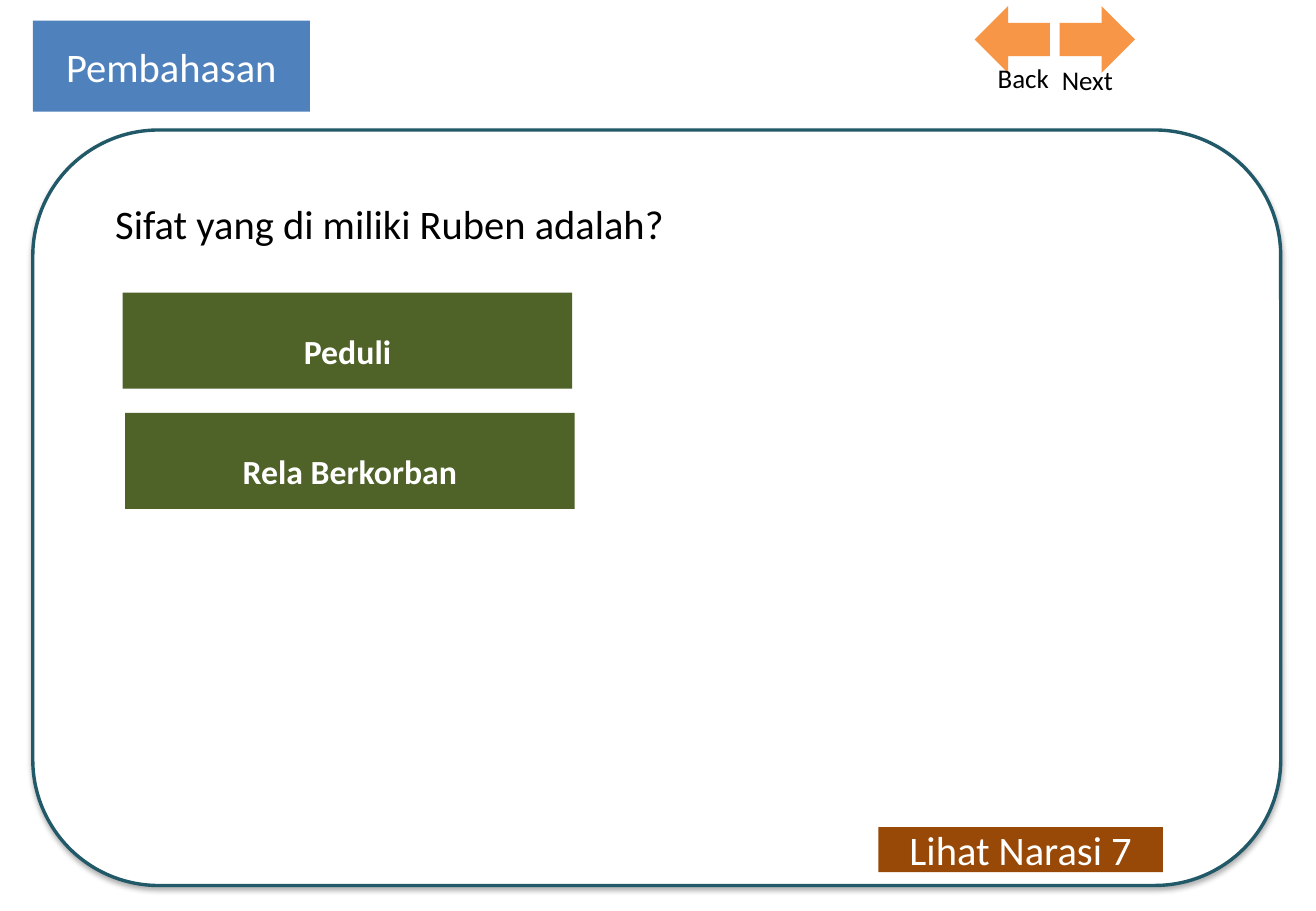
from lxml import etree
from pptx import Presentation
from pptx.dml.color import RGBColor
from pptx.enum.shapes import MSO_SHAPE as Shape
from pptx.enum.text import MSO_ANCHOR as Anchor, MSO_AUTO_SIZE as AutoSize, PP_ALIGN as Align
from pptx.oxml.ns import qn
from pptx.util import Inches, Pt

COLORS = {
    "white": "FFFFFF",
    "black": "000000",
    "teal": "215968",
    "blue": "4F81BD",
    "green": "4F6228",
    "brown": "984807",
    "orange": "F79646",
}


def color(name):
    return RGBColor.from_string(COLORS[name])


def fill_solid(shape, fill):
    shape.fill.solid()
    shape.fill.fore_color.rgb = color(fill)


def write_text(shape, text, size, text_color, align, bold=False, spacing=None):
    frame = shape.text_frame
    frame.word_wrap = True
    frame.text = text
    paragraph = frame.paragraphs[0]
    paragraph.alignment = align
    paragraph.line_spacing = spacing
    paragraph.font.name = "Calibri"
    paragraph.font.size = Pt(size)
    paragraph.font.bold = bold
    paragraph.font.color.rgb = color(text_color)


def add_block(slide, kind, left, top, width, height, fill):
    shape = slide.shapes.add_shape(
        kind, Inches(left), Inches(top), Inches(width), Inches(height))
    fill_solid(shape, fill)
    shape.line.fill.background()
    shape.shadow.inherit = False
    return shape


def add_label(slide, text, left, top, width, height, size, align, spacing=None):
    box = slide.shapes.add_textbox(
        Inches(left), Inches(top), Inches(width), Inches(height))
    write_text(box, text, size, "black", align, spacing=spacing)


def add_soft_shadow(shape):
    effects = shape._element.spPr.find(qn("a:effectLst"))
    shadow = etree.SubElement(
        effects, qn("a:outerShdw"), blurRad=str(Pt(3.5)), dist=str(Pt(2.2)),
        dir="5400000", rotWithShape="0")
    tint = etree.SubElement(shadow, qn("a:srgbClr"), val=COLORS["black"])
    etree.SubElement(tint, qn("a:alpha"), val="32000")


def set_title(slide, text):
    title = slide.shapes.title
    title.left, title.top = Inches(0.27), Inches(0.17)
    title.width, title.height = Inches(2.28), Inches(0.75)
    fill_solid(title, "blue")
    write_text(title, text, 24, "white", Align.CENTER)
    title.text_frame.auto_size = AutoSize.NONE
    title.text_frame.vertical_anchor = Anchor.MIDDLE


def add_panel(slide):
    panel = add_block(slide, Shape.ROUNDED_RECTANGLE, 0.27, 1.07, 10.27, 6.22, "white")
    panel.line.color.rgb = color("teal")
    panel.line.width = Pt(2)
    add_soft_shadow(panel)


def add_navigation(slide):
    for left, rotation in ((8.02, 180), (8.72, 0)):
        arrow = add_block(slide, Shape.RIGHT_ARROW, left, 0.05, 0.62, 0.55, "orange")
        arrow.rotation = rotation
    add_label(slide, "Next", 8.64, 0.47, 1.4, 0.37, 16, Align.LEFT)
    add_label(slide, "Back", 7.33, 0.46, 1.4, 0.37, 16, Align.RIGHT)


def main():
    presentation = Presentation()
    presentation.slide_width = Inches(10.83)
    presentation.slide_height = Inches(7.5)
    slide = presentation.slides.add_slide(presentation.slide_layouts[5])

    # Heading and panel
    set_title(slide, "Pembahasan")
    add_panel(slide)

    # Question and answers
    add_label(slide, "Sifat yang di miliki Ruben adalah?",
              0.85, 1.39, 9.45, 0.71, 24, Align.JUSTIFY, spacing=1.5)
    for text, left, top in (("Peduli", 1.01, 2.41), ("Rela Berkorban", 1.03, 3.4)):
        answer = add_block(slide, Shape.RECTANGLE, left, top, 3.7, 0.79, "green")
        write_text(answer, text, 20, "white", Align.CENTER, bold=True, spacing=1.5)

    # Story button and navigation
    button = add_block(slide, Shape.RECTANGLE, 7.23, 6.81, 2.34, 0.37, "brown")
    write_text(button, "Lihat Narasi 7", 24, "white", Align.CENTER)
    add_navigation(slide)

    presentation.save("out.pptx")


if __name__ == "__main__":
    main()
